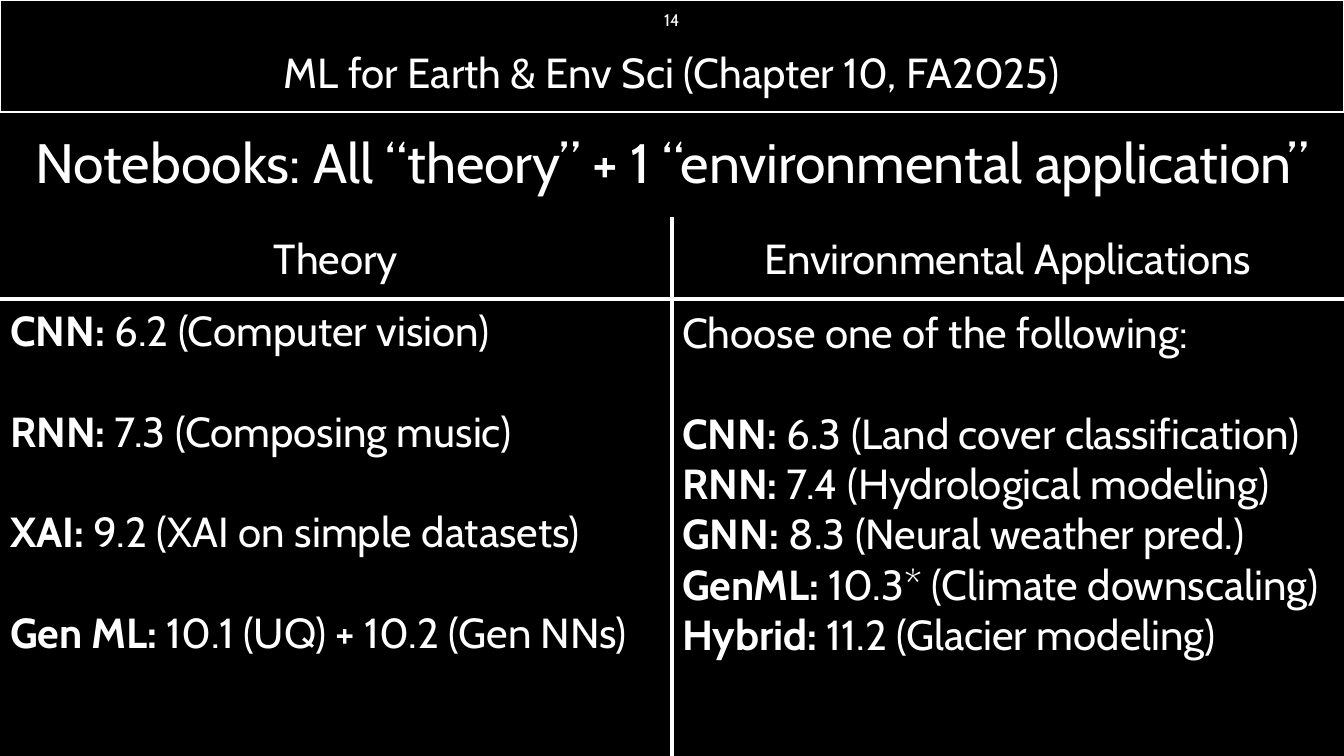
from lxml import etree
from pptx import Presentation
from pptx.dml.color import RGBColor
from pptx.enum.shapes import MSO_CONNECTOR, MSO_SHAPE
from pptx.enum.text import MSO_ANCHOR, MSO_AUTO_SIZE, PP_ALIGN
from pptx.oxml.ns import qn
from pptx.util import Cm, Pt

STRAIGHT = MSO_CONNECTOR.STRAIGHT
RECTANGLE = MSO_SHAPE.RECTANGLE
TOP, MIDDLE = MSO_ANCHOR.TOP, MSO_ANCHOR.MIDDLE
LEFT, CENTER = PP_ALIGN.LEFT, PP_ALIGN.CENTER
NO_AUTOFIT = MSO_AUTO_SIZE.NONE

WHITE, BLACK = "FFFFFF", "000000"
WIDTH, HEIGHT = 33.87, 19.05
HALF = WIDTH / 2
TITLE_BOTTOM = 5.46
DIVIDER_TOP = 7.54
LINE_GAP = 36


def color(hex_string):
    return RGBColor.from_string(hex_string)


def write(shape, box, lines, size, align=CENTER, anchor=TOP, line_spacing=1.0):
    shape.left, shape.top, shape.width, shape.height = [Cm(value) for value in box]
    frame = shape.text_frame
    frame.word_wrap = True
    frame.auto_size = NO_AUTOFIT
    frame.vertical_anchor = anchor
    for index, (label, text, gap) in enumerate(lines):
        paragraph = frame.paragraphs[0] if index == 0 else frame.add_paragraph()
        properties = paragraph._p.get_or_add_pPr()
        properties.set("marL", "0")
        properties.set("indent", "0")
        etree.SubElement(properties, qn("a:buNone"))
        paragraph.alignment = align
        paragraph.line_spacing = line_spacing
        paragraph.space_before = Pt(gap)
        for content, bold in ((label, True), (text, False)):
            if content:
                run = paragraph.add_run()
                run.text = content
                run.font.name = "Cabin"
                run.font.size = Pt(size)
                run.font.bold = bold
                run.font.color.rgb = color(WHITE)


presentation = Presentation()
presentation.slide_width = Cm(WIDTH)
presentation.slide_height = Cm(HEIGHT)
slide = presentation.slides.add_slide(presentation.slide_layouts.get_by_name("Comparison"))
slide.background.fill.solid()
slide.background.fill.fore_color.rgb = color(BLACK)
shapes = slide.shapes

banner = shapes.add_shape(RECTANGLE, 0, 0, Cm(WIDTH), Cm(2.82))
banner.shadow.inherit = False
banner.fill.solid()
banner.fill.fore_color.rgb = color(BLACK)
banner.line.color.rgb = color(WHITE)
banner.line.width = Pt(1)

course_name = shapes.add_textbox(0, 0, 0, 0)
write(course_name, (0, 1.04, WIDTH, 1.55),
      [("", "ML for Earth & Env Sci (Chapter 10, FA2025)", 0)], 30)

slide_number = shapes.add_textbox(0, 0, 0, 0)
write(slide_number, (13.12, 0, 7.62, 1.02), [("", "14", 0)], 12, anchor=MIDDLE)

write(shapes.title, (0, 2.9, WIDTH, TITLE_BOTTOM - 2.9),
      [("", "Notebooks: All “theory” + 1 “environmental application”", 0)],
      39.6, anchor=MIDDLE, line_spacing=0.9)

theory = [
    ("CNN: ", "6.2 (Computer vision)", 0),
    ("RNN: ", "7.3 (Composing music)", LINE_GAP),
    ("XAI:", " 9.2 (XAI on simple datasets)", LINE_GAP),
    ("Gen ML:", " 10.1 (UQ) + 10.2 (Gen NNs)", LINE_GAP),
]
applications = [
    ("", "Choose one of the following:", 0),
    ("CNN: ", "6.3 (Land cover classification)", LINE_GAP),
    ("RNN: ", "7.4 (Hydrological modeling)", 0),
    ("GNN:", " 8.3 (Neural weather pred.)", 0),
    ("GenML:", " 10.3* (Climate downscaling)", 0),
    ("Hybrid: ", "11.2 (Glacier modeling)", 0),
]
columns = [
    ("Theory", theory, 0, DIVIDER_TOP),
    ("Environmental Applications", applications, HALF, 7.59),
]
placeholders = list(slide.placeholders)[1:]
for number, (heading, notebooks, left, top) in enumerate(columns):
    heading_holder, list_holder = placeholders[2 * number:2 * number + 2]
    write(heading_holder, (left, 5.74, HALF, 1.55), [("", heading, 0)], 30)
    write(list_holder, (left, top, HALF, 9.25), notebooks, 30, align=LEFT)

horizontal_divider = shapes.add_connector(
    STRAIGHT, 0, Cm(DIVIDER_TOP), Cm(WIDTH), Cm(DIVIDER_TOP))
vertical_divider = shapes.add_connector(
    STRAIGHT, Cm(HALF), Cm(TITLE_BOTTOM), Cm(HALF), Cm(HEIGHT))
vertical_divider.begin_connect(shapes.title, 2)
for divider in (horizontal_divider, vertical_divider):
    divider.line.color.rgb = color(WHITE)
    divider.line.width = Pt(3)
    etree.SubElement(divider._element.spPr, qn("a:effectLst"))

presentation.save("out.pptx")
